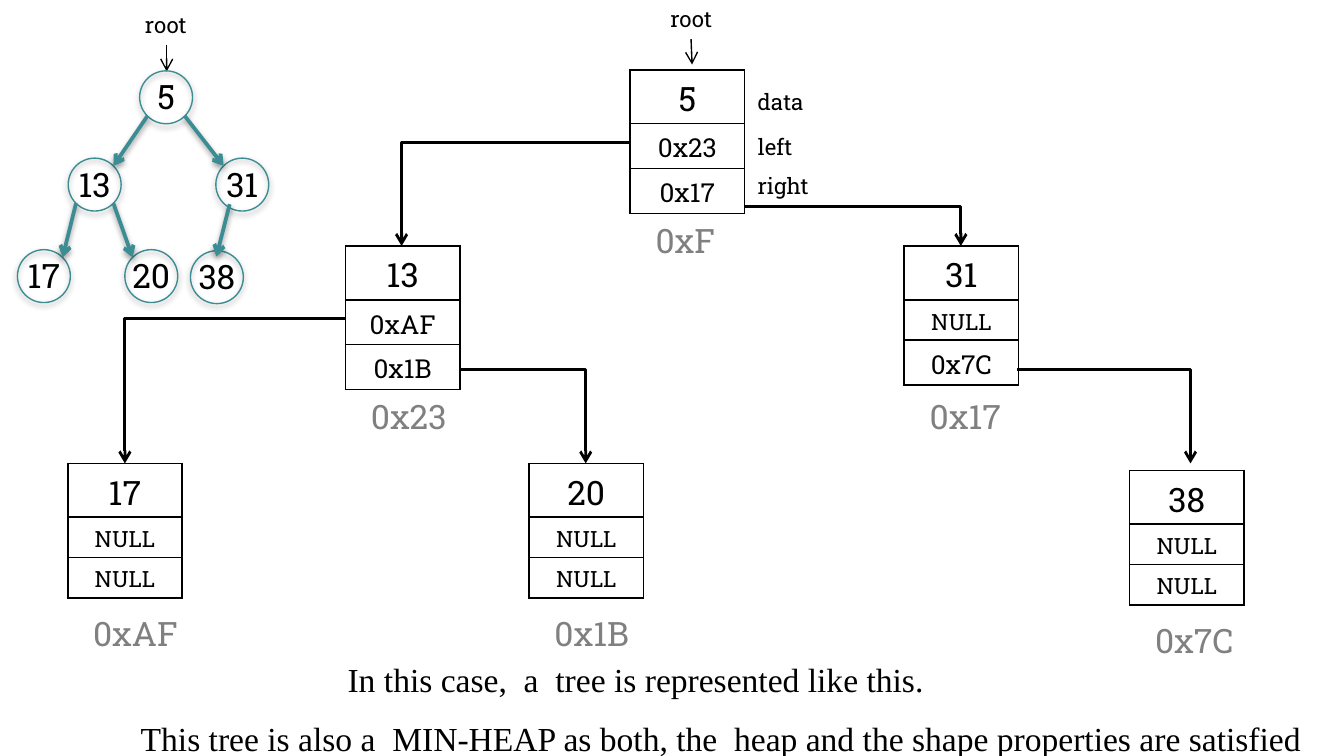
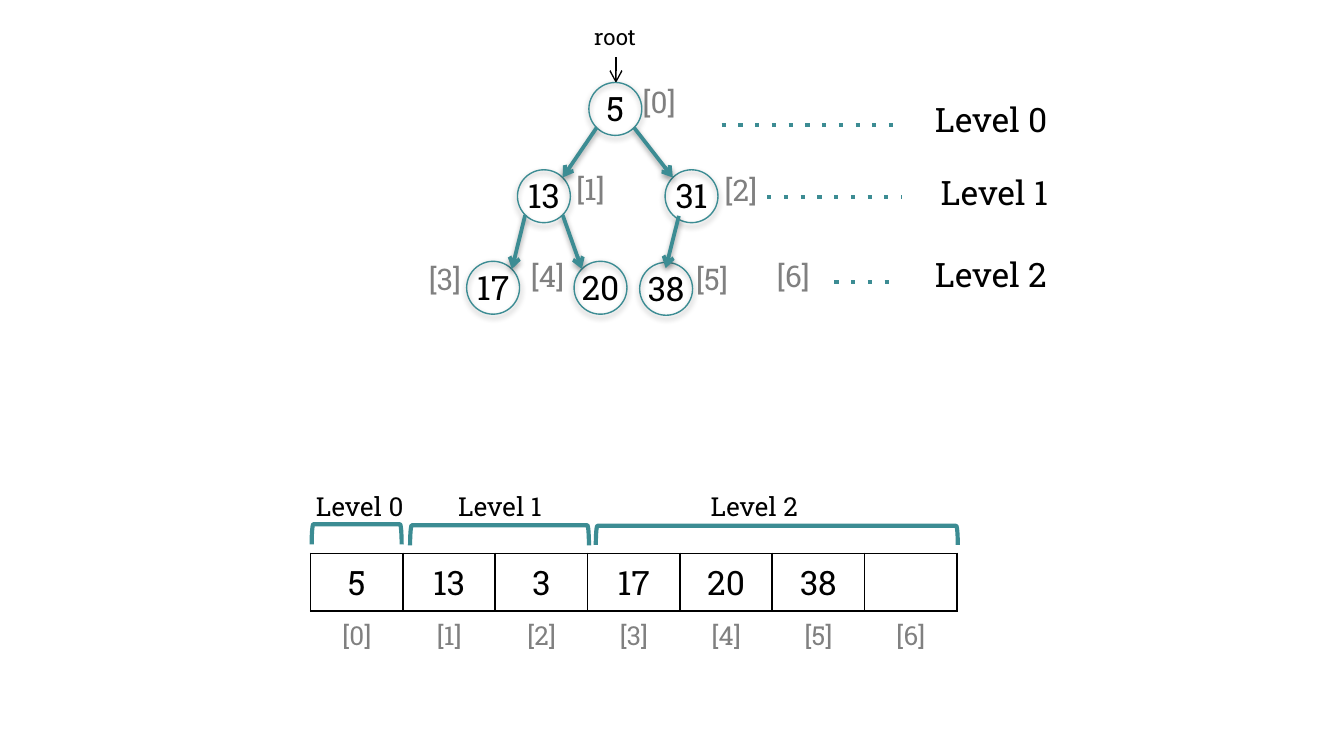
from math import sqrt

from lxml import etree
from pptx import Presentation
from pptx.dml.color import RGBColor
from pptx.enum.shapes import MSO_CONNECTOR as Line, MSO_SHAPE as Preset
from pptx.enum.text import MSO_AUTO_SIZE as AutoSize, PP_ALIGN as Align
from pptx.oxml.ns import qn
from pptx.util import Cm, Pt

# Shared look
COLORS = {"ink": "000000", "muted": "808080", "teal": "3C8C93"}
SLAB, SERIF = "Roboto Slab", "Times New Roman"

# Tree, in cm: value -> centre of its circle
NODE_SIZE = 1.0
NODES = {
    "5": (3.14, 1.84), "13": (1.79, 3.49), "31": (4.58, 3.49),
    "17": (0.83, 5.22), "20": (2.86, 5.22), "38": (4.1, 5.24),
}
EDGES = [("5", "13"), ("5", "31"), ("13", "17"), ("13", "20")]
STEEP_EDGE = (4.34, 3.86, 4.09, 4.85)  # from 31 to 38
TREE_SHIFT = (8.49, 0.22)  # place of the tree on the second slide

# Linked nodes: left, top, (data, left, right), address, address width
RECORD_WIDTH = 2.16
RECORDS = [
    (11.91, 1.32, ("5", "0x23", "0x17"), "0xF", 1.65),
    (6.53, 4.65, ("13", "0xAF", "0x1B"), "0x23", 1.96),
    (17.09, 4.65, ("31", "NULL", "0x7C"), "0x17", 1.88),
    (1.28, 8.76, ("17", "NULL", "NULL"), "0xAF", 2.13),
    (10.0, 8.76, ("20", "NULL", "NULL"), "0x1B", 1.93),
    (21.35, 8.89, ("38", "NULL", "NULL"), "0x7C", 2.01),
]
POINTERS = [
    (11.91, 2.69, 7.59, 4.65), (14.07, 3.91, 18.16, 4.65),
    (6.53, 6.02, 2.36, 8.76), (8.71, 6.99, 11.07, 8.76),
    (19.23, 6.99, 22.5, 8.76),
]
FIELDS = [("data", 1.55, 1.4), ("left", 2.39, 1.17), ("right", 3.12, 1.5)]
CAPTIONS = [
    ("In this case,  a  tree is represented like this.", 6.32, 12.34, 11.53),
    ("This tree is also a  MIN-HEAP as both, the  heap and the shape "
     "properties are satisfied", 2.41, 13.44, 22.68),
]

# Array view
ARRAY = ["5", "13", "3", "17", "20", "38", ""]
ARRAY_LEFT, ARRAY_TOP, ARRAY_WIDTH, ARRAY_ROW = 5.87, 10.46, 12.22, 1.03
INDEX_PLACES = [
    (11.89, 1.45, 1.14), (10.64, 3.1, 1.07), (13.44, 3.12, 1.14),
    (7.85, 4.8, 1.14), (9.78, 4.75, 1.17), (12.9, 4.8, 1.12),
    (14.43, 4.75, 1.14),
]
# Dotted line (from, to, height), then label (left, top, width)
LEVELS = [
    ((13.64, 16.94, 2.36), (17.42, 1.75, 2.67)),
    ((14.5, 17.04, 3.73), (17.53, 3.12, 2.57)),
    ((15.77, 16.94, 5.33), (17.42, 4.67, 2.64)),
]
# Bracket (left, right, middle, depth), then label (left, width)
BRACKETS = [
    ((5.89, 7.59, 10.1, 0.38), (5.72, 2.18)),
    ((7.75, 11.13, 10.12, 0.38), (8.41, 2.11)),
    ((11.26, 18.1, 10.12, 0.36), (13.18, 2.18)),
]


def rgb(name):
    return RGBColor.from_string(COLORS[name])


def add_xml(parent, tag, **attributes):
    return etree.SubElement(parent, qn(tag), attributes)


def add_shadow(effects):
    shadow = add_xml(effects, "a:outerShdw", blurRad=str(Pt(3.1)),
                     dist=str(Pt(1.6)), dir="5400000", rotWithShape="0")
    color = add_xml(shadow, "a:srgbClr", val=COLORS["ink"])
    add_xml(color, "a:alpha", val="38000")


# Text
def add_run(paragraph, text, size, color="ink", font=SLAB):
    run = paragraph.add_run()
    run.text = text
    run.font.size = Pt(size)
    run.font.name = font
    run.font.color.rgb = rgb(color)


def add_label(shapes, text, left, top, width, size, color="ink",
              align=None, font=SLAB):
    height = 0.25 + size * 1.2 * 2.54 / 72  # margins and one line
    box = shapes.add_textbox(Cm(left), Cm(top), Cm(width), Cm(height))
    frame = box.text_frame
    frame.word_wrap = False
    frame.auto_size = AutoSize.SHAPE_TO_FIT_TEXT
    paragraph = frame.paragraphs[0]
    paragraph.alignment = align
    add_run(paragraph, text, size, color, font)


# Lines
def add_line(shapes, ends, color="ink", width=0.75, arrow=True, dash=None,
             shadow=False, kind=Line.STRAIGHT):
    connector = shapes.add_connector(kind, *[Cm(end) for end in ends])
    connector.line.color.rgb = rgb(color)
    connector.line.width = Pt(width)
    properties = connector.element.spPr
    stroke = properties.find(qn("a:ln"))
    if dash:
        add_xml(stroke, "a:prstDash", val=dash)
    if arrow:
        add_xml(stroke, "a:tailEnd", type="arrow")
    effects = add_xml(properties, "a:effectLst")
    if shadow:
        add_shadow(effects)
    return connector


def add_pointer(shapes, ends):
    """One-bend arrow: sideways, then down."""
    connector = add_line(shapes, ends, width=1.5, kind=Line.ELBOW)
    properties = connector.element.spPr
    properties.find(qn("a:prstGeom")).set("prst", "bentConnector2")
    frame = properties.find(qn("a:xfrm"))
    if frame.attrib.pop("flipH", None):
        frame.set("rot", "10800000")
        frame.set("flipV", "1")


# Tables
def add_plain_table(shapes, rows, columns, left, top, width, height):
    frame = shapes.add_table(rows, columns, Cm(left), Cm(top),
                             Cm(width), Cm(height))
    table = frame.table
    table.first_row = table.horz_banding = False
    return table


def fill_cell(cell, text, size, color="ink", sides="LRTB"):
    cell.fill.background()
    properties = cell._tc.get_or_add_tcPr()
    for position, side in enumerate("LRTB"):
        border = etree.Element(qn("a:ln" + side), w=str(Pt(1)))
        if side in sides:
            fill = add_xml(border, "a:solidFill")
            add_xml(fill, "a:srgbClr", val=COLORS["ink"])
        else:
            add_xml(border, "a:noFill")
        properties.insert(position, border)
    paragraph = cell.text_frame.paragraphs[0]
    paragraph.alignment = Align.CENTER
    if text:
        add_run(paragraph, text, size, color)
    else:  # keeps an empty cell from stretching its row
        add_xml(paragraph._p, "a:endParaRPr", sz=str(size * 50))


def add_record(shapes, left, top, values, address, address_width):
    table = add_plain_table(shapes, 3, 1, left, top, RECORD_WIDTH, 2.22)
    for row, value in enumerate(values):
        table.rows[row].height = Cm(0.69 if row else 0.84)
        size = 18 if row == 0 else 12 if value == "NULL" else 14
        fill_cell(table.cell(row, 0), value, size)
    add_label(shapes, address, left + 0.23, top + 2.71, address_width, 18,
              "muted")


# Tree
def add_tree(shapes, shift_x=0, shift_y=0):
    def shifted(x1, y1, x2, y2):
        return x1 + shift_x, y1 + shift_y, x2 + shift_x, y2 + shift_y

    add_label(shapes, "root", 2.49 + shift_x, 0.09 + shift_y, 1.32, 12)
    add_line(shapes, shifted(3.15, 0.86, 3.15, 1.35))
    for x, y in NODES.values():
        circle = shapes.add_shape(
            Preset.OVAL, Cm(x + shift_x - NODE_SIZE / 2),
            Cm(y + shift_y - NODE_SIZE / 2), Cm(NODE_SIZE), Cm(NODE_SIZE))
        circle.fill.background()
        circle.line.color.rgb = rgb("teal")
        circle.line.width = Pt(0.75)
        circle.shadow.inherit = False
        add_shadow(circle.element.spPr.find(qn("a:effectLst")))

    # Edges join the circles at their diagonals
    reach = NODE_SIZE / 2 / sqrt(2)
    edges = [STEEP_EDGE]
    for parent, child in EDGES:
        (x1, y1), (x2, y2) = NODES[parent], NODES[child]
        side = reach if x2 > x1 else -reach
        edges.append((x1 + side, y1 + reach, x2 - side, y2 - reach))
    for edge in edges:
        add_line(shapes, shifted(*edge), "teal", 2, shadow=True)
    for value, (x, y) in NODES.items():
        width = 0.46 + 0.41 * len(value)
        add_label(shapes, value, x + shift_x - width / 2,
                  y + shift_y - 0.52, width, 18, align=Align.CENTER)


presentation = Presentation()
presentation.slide_width, presentation.slide_height = Cm(25.4), Cm(14.29)
blank = presentation.slide_layouts[6]

# Slide 1: tree as linked nodes
shapes = presentation.slides.add_slide(blank).shapes
add_tree(shapes)
for record in RECORDS:
    add_record(shapes, *record)
for pointer in POINTERS:
    add_pointer(shapes, pointer)
add_label(shapes, "root", 12.42, -0.03, 1.32, 12)
add_line(shapes, (13.06, 0.74, 13.08, 1.22))
for text, top, width in FIELDS:
    add_label(shapes, text, 14.07, top, width, 12)
for text, left, top, width in CAPTIONS:
    add_label(shapes, text, left, top, width, 18, font=SERIF)

# Slide 2: tree as an array
shapes = presentation.slides.add_slide(blank).shapes
table = add_plain_table(shapes, 2, len(ARRAY), ARRAY_LEFT, ARRAY_TOP,
                        ARRAY_WIDTH, 2 * ARRAY_ROW)
for index, value in enumerate(ARRAY):
    fill_cell(table.cell(0, index), value, 18)
    fill_cell(table.cell(1, index), f"[{index}]", 14, "muted", sides="T")
for index, (left, top, width) in enumerate(INDEX_PLACES):
    add_label(shapes, f"[{index}]", left, top, width, 16, "muted")

for level, ((start, end, height), place) in enumerate(LEVELS):
    add_line(shapes, (start, height, end, height), "teal", 2.25,
             arrow=False, dash="dot")
    add_label(shapes, f"Level {level}", *place, 18)

for level, ((start, end, middle, depth), (left, width)) in enumerate(BRACKETS):
    span = end - start
    bracket = shapes.add_shape(
        Preset.LEFT_BRACKET, Cm((start + end - depth) / 2),
        Cm(middle - span / 2), Cm(depth), Cm(span))
    bracket.rotation = 90
    bracket.fill.background()
    bracket.line.color.rgb = rgb("teal")
    bracket.line.width = Pt(2.25)
    bracket.shadow.inherit = False
    add_label(shapes, f"Level {level}", left, 9.14, width, 14)

add_tree(shapes.add_group_shape().shapes, *TREE_SHIFT)

presentation.save("out.pptx")
